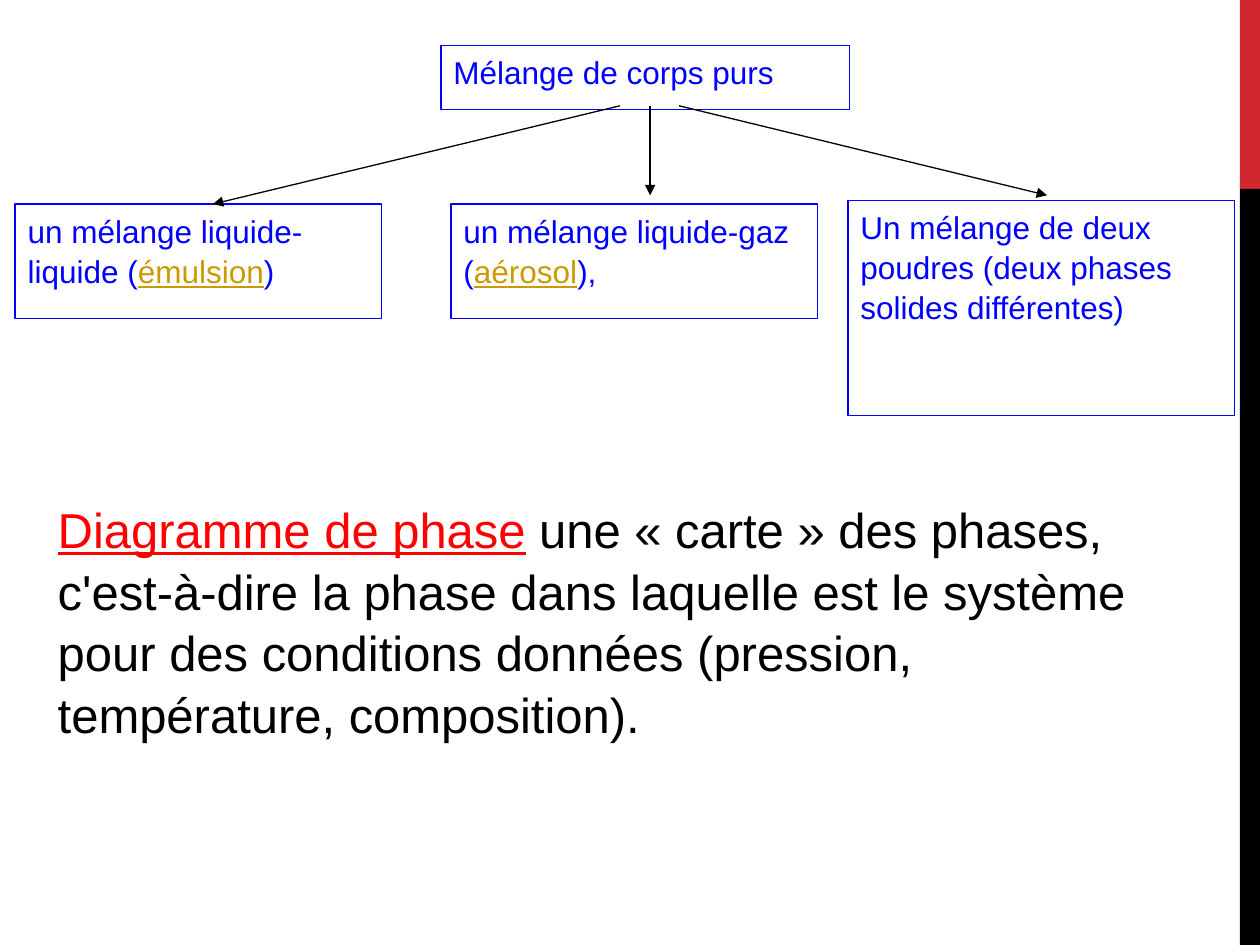
from lxml.etree import SubElement
from pptx import Presentation
from pptx.dml.color import RGBColor
from pptx.enum.shapes import MSO_CONNECTOR as CONN, MSO_SHAPE as SHAPE
from pptx.enum.text import MSO_ANCHOR as ANCHOR, PP_ALIGN as ALIGN
from pptx.oxml.ns import qn
from pptx.util import Inches, Pt

W, H = 10, 7.5
BLUE, GOLD, RED, BLACK = "0000FF", "CC9900", "FF0000", "000000"


def rgb(value):
    return RGBColor.from_string(value)


def inches(*lengths):
    return [Inches(length) for length in lengths]


def write(tf, runs, size):
    """Fill a frame with one paragraph of (text, colour, underlined) runs."""
    tf.word_wrap = True
    tf.vertical_anchor = ANCHOR.TOP
    p = tf.paragraphs[0]
    p.alignment = ALIGN.LEFT
    p.line_spacing = 1.05
    p.font.name, p.font.size = "Arial", Pt(size)
    for text, color, underlined in runs:
        r = p.add_run()
        r.text = text
        r.font.color.rgb = rgb(color)
        r.font.underline = underlined


def add_rect(s, box, fill=None, line=None):
    sp = s.shapes.add_shape(SHAPE.RECTANGLE, *inches(*box))
    sp.shadow.inherit = False
    if fill:
        sp.fill.solid()
        sp.fill.fore_color.rgb = rgb(fill)
    else:
        sp.fill.background()
    if line:
        sp.line.color.rgb = rgb(line)
        sp.line.width = Pt(0.75)
    else:
        sp.line.fill.background()
    return sp


def add_arrow(s, start, end):
    cx = s.shapes.add_connector(CONN.STRAIGHT, *inches(*start, *end))
    cx.line.color.rgb = rgb(BLACK)
    cx.line.width = Pt(0.75)
    SubElement(cx.line._get_or_add_ln(), qn("a:tailEnd"), type="triangle")
    SubElement(cx._element.spPr, qn("a:effectLst"))


def side_band(s, left, top, width, height):
    """Red fifth above a black remainder."""
    red = height / 5
    add_rect(s, (left, top, width, red), fill=RED_BAND)
    add_rect(s, (left, top + red, width, height - red), fill=BLACK)


def mixture_tree(s, left, top):
    """Root box, its three kinds of mixture and the arrows to them."""
    row = top + 1.26
    nodes = [
        ((left + 3.38, top, 3.24, 0.51),
         [("Mélange de corps purs", BLUE, False)]),
        ((left, row, 2.91, 0.91),
         [("un mélange liquide-liquide (", BLUE, False),
          ("émulsion", GOLD, True), (")", BLUE, False)]),
        ((left + 3.46, row, 2.91, 0.91),
         [("un mélange liquide-gaz (", BLUE, False),
          ("aérosol", GOLD, True), ("),", BLUE, False)]),
        ((left + 6.61, row - 0.03, 3.07, 1.71),
         [("Un mélange de deux poudres (deux phases solides différentes)",
           BLUE, False)]),
    ]
    for box, runs in nodes:
        write(add_rect(s, box, line=BLUE).text_frame, runs, 18)

    # Arrows fan out from the root
    middle, start = left + 5.04, top + 0.48
    for shift, x, y in ((-0.24, left + 1.57, row),
                        (0, middle, row - 0.07),
                        (0.23, left + 8.19, row - 0.07)):
        add_arrow(s, (middle + shift, start), (x, y))


def definition(s, *box):
    tf = s.shapes.add_textbox(*inches(*box)).text_frame
    write(tf, [
        ("Diagramme de phase", RED, True),
        (" ", RED, False),
        ("une «\u00a0carte\u00a0» des phases, c'est-à-dire la phase dans laquelle "
         "est le système pour des conditions données (pression, température, "
         "composition).", BLACK, False),
    ], 28)


RED_BAND = "D1282E"


def main():
    prs = Presentation()
    prs.slide_width, prs.slide_height = inches(W, H)
    s = prs.slides.add_slide(prs.slide_layouts[6])
    side_band(s, W - 0.16, 0, 0.16, H)
    mixture_tree(s, 0.12, 0.36)
    definition(s, 0.36, 3.89, 9.09, 1.99)
    prs.save("out.pptx")


if __name__ == "__main__":
    main()
